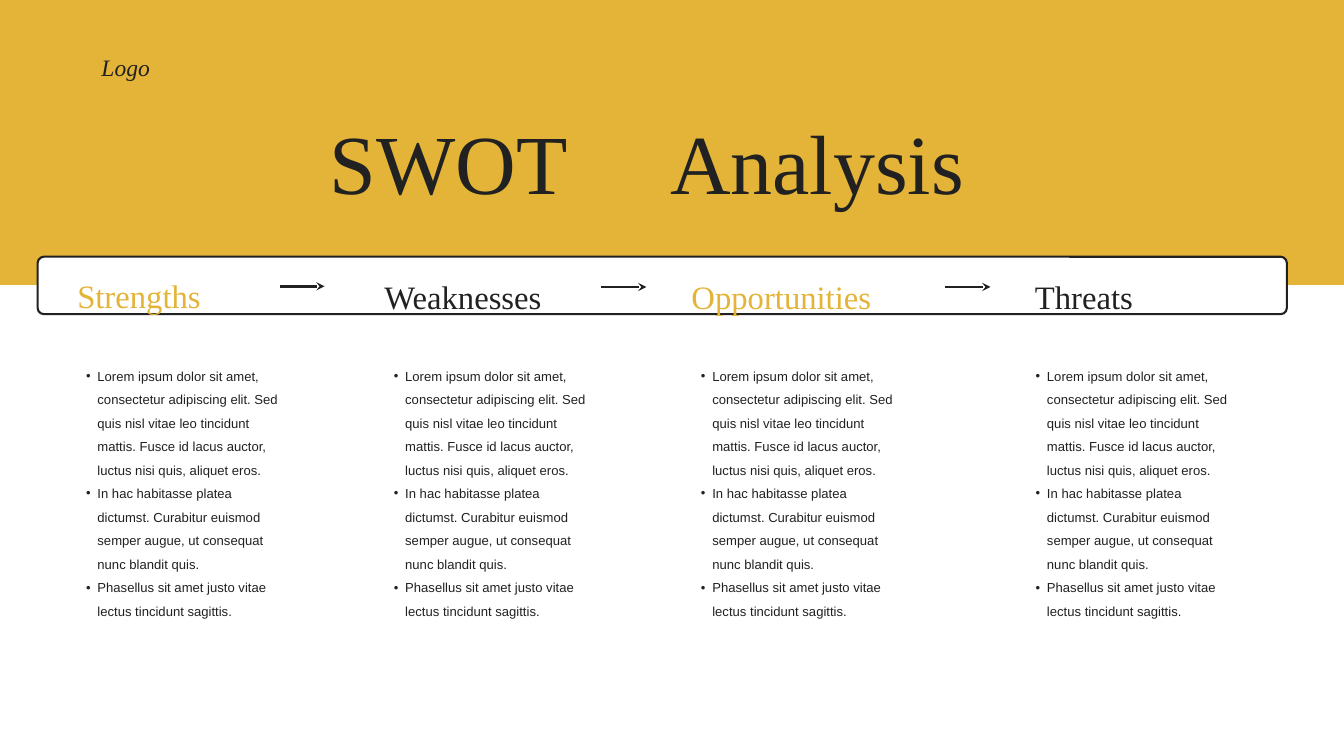
"""Build a SWOT analysis slide with four linked columns."""
import pptx
import pptx.dml.color
import pptx.enum.shapes
import pptx.enum.text
import pptx.oxml.ns
import pptx.util
from lxml import etree

THEME = {
    "gold": "E4B439", "ink": "212121", "paper": "FFFFFF",
    "serif": "Times New Roman", "sans": "Arial",
    "title": 90, "heading": 35, "logo": 25.2, "body": 14,
}
WIDTH, HEIGHT = 20, 11.25
COLS, ROWS = 100, 100

POINTS = [
    "Lorem ipsum dolor sit amet, consectetur adipiscing elit. Sed quis nisl vitae leo "
    "tincidunt mattis. Fusce id lacus auctor, luctus nisi quis, aliquet eros.",
    "In hac habitasse platea dictumst. Curabitur euismod semper augue, ut consequat "
    "nunc blandit quis.",
    "Phasellus sit amet justo vitae lectus tincidunt sagittis.",
]
TITLE = [("SWOT", 22.1, 22.55), ("Analysis", 46.65, 28.3)]
SECTIONS = [
    ("Strengths", "gold", 5.75, 34.93, 5.6),
    ("Weaknesses", "ink", 28.6, 35.02, 28.5),
    ("Opportunities", "gold", 51.45, 35.02, 51.35),
    ("Threats", "ink", 77, 35.02, 76.25),
]
ARROWS = [(20.8, 37.87), (44.75, 37.96), (70.35, 37.96)]
ARROW_WIDTH = 3.35


def gx(cols):
    return pptx.util.Inches(cols * WIDTH / COLS)


def gy(rows):
    return pptx.util.Inches(rows * HEIGHT / ROWS)


def rgb(name):
    return pptx.dml.color.RGBColor.from_string(THEME[name])


def add_panel(s, kind, x, y, w, h, fill, line=None):
    sp = s.shapes.add_shape(kind, gx(x), gy(y), gx(w), gy(h))
    sp.shadow.inherit = False
    sp.fill.solid()
    sp.fill.fore_color.rgb = rgb(fill)
    if line:
        sp.line.color.rgb = rgb(line)
        sp.line.width = pptx.util.Pt(2.25)
    else:
        sp.line.fill.background()
    return sp


def add_bullet(p):
    pPr = p._p.get_or_add_pPr()
    pPr.set("marL", str(pptx.util.Inches(0.33)))
    pPr.set("indent", str(pptx.util.Inches(-0.17)))
    color = etree.SubElement(pPr, pptx.oxml.ns.qn("a:buClr"))
    etree.SubElement(color, pptx.oxml.ns.qn("a:srgbClr"), val=THEME["ink"])
    etree.SubElement(pPr, pptx.oxml.ns.qn("a:buFont"), typeface=THEME["sans"])
    etree.SubElement(pPr, pptx.oxml.ns.qn("a:buChar"), char="•")


def add_text(s, lines, x, y, w, h, size, spacing, color="ink", font="serif",
             center=False, italic=False, bullets=False):
    sp = s.shapes.add_textbox(gx(x), gy(y), gx(w), gy(h))
    tf = sp.text_frame
    tf.margin_left = tf.margin_top = tf.margin_right = tf.margin_bottom = 0
    tf.word_wrap = True
    tf.auto_size = pptx.enum.text.MSO_AUTO_SIZE.SHAPE_TO_FIT_TEXT
    tf.text = "\n".join(lines)
    for p in tf.paragraphs:
        if bullets:
            p.level = 1
            add_bullet(p)
        p.line_spacing = spacing
        if center:
            p.alignment = pptx.enum.text.PP_ALIGN.CENTER
        for r in p.runs:
            r.font.size = pptx.util.Pt(THEME[size])
            r.font.name = THEME[font]
            r.font.color.rgb = rgb(color)
            if italic:
                r.font.italic = True


def add_arrow(s, x, y):
    sp = s.shapes.add_connector(pptx.enum.shapes.MSO_CONNECTOR.STRAIGHT,
                                gx(x), gy(y), gx(x + ARROW_WIDTH), gy(y))
    sp.line.color.rgb = rgb("ink")
    sp.line.width = pptx.util.Pt(3)
    etree.SubElement(sp.line._get_or_add_ln(), pptx.oxml.ns.qn("a:tailEnd"), type="stealth")
    etree.SubElement(sp._element.spPr, pptx.oxml.ns.qn("a:effectLst"))


def main():
    prs = pptx.Presentation()
    prs.slide_width = pptx.util.Inches(WIDTH)
    prs.slide_height = pptx.util.Inches(HEIGHT)
    s = prs.slides.add_slide(prs.slide_layouts[6])
    shapes = pptx.enum.shapes.MSO_SHAPE

    add_panel(s, shapes.RECTANGLE, 0, 0, COLS, 37.69, "gold")
    bar = add_panel(s, shapes.ROUNDED_RECTANGLE, 2.8, 33.96, 92.95, 7.6, "paper", "ink")
    bar.adjustments[0] = 0.11

    for x, y in ARROWS:
        add_arrow(s, x, y)
    for word, x, w in TITLE:
        add_text(s, [word], x, 11.91, w, 13.3, "title", 1.2, center=True)
    for name, color, x, y, body_x in SECTIONS:
        add_text(s, [name], x, y, 18, 5.3, "heading", 1.3, color)
        add_text(s, POINTS, body_x, 47.64, 15.1, 33.5, "body", 1.5,
                 font="sans", bullets=True)
    add_text(s, ["Logo"], 3.7, 6.22, 11.3, 3.82, "logo", 1.2, center=True, italic=True)

    prs.save("out.pptx")


if __name__ == "__main__":
    main()
